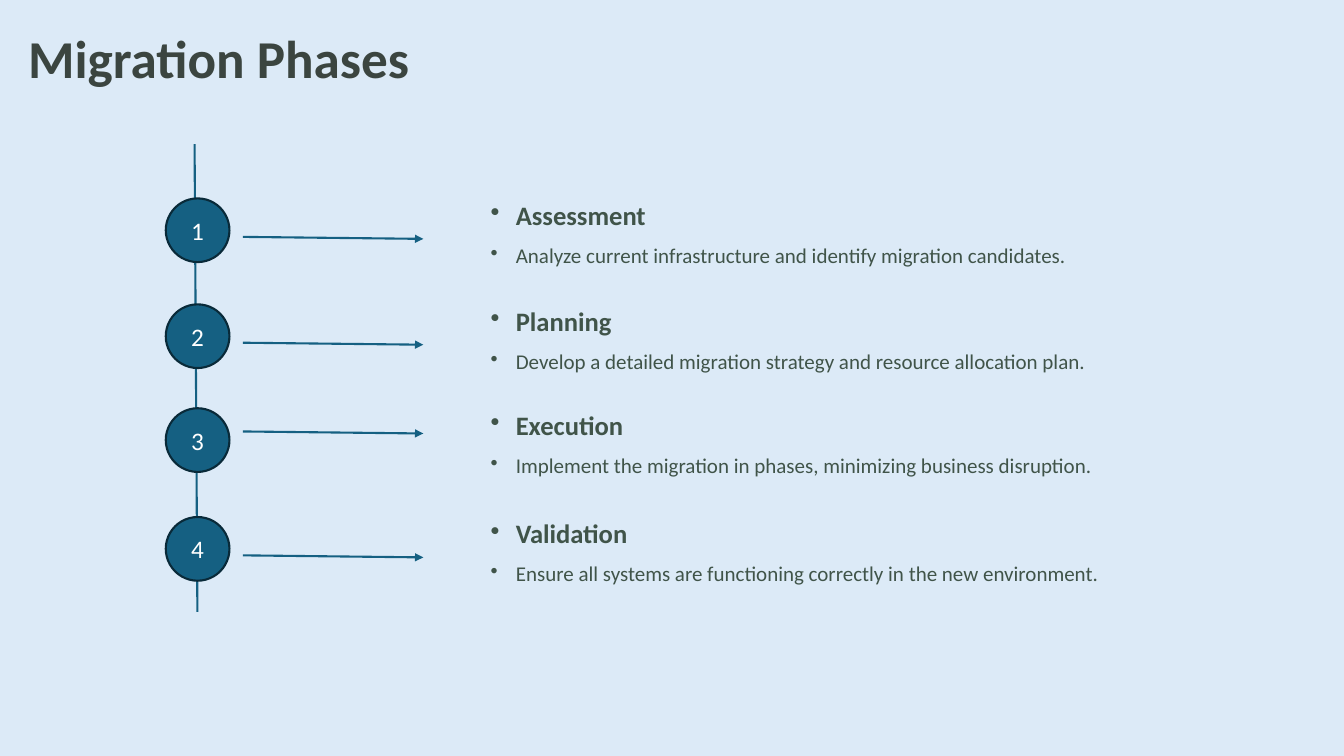
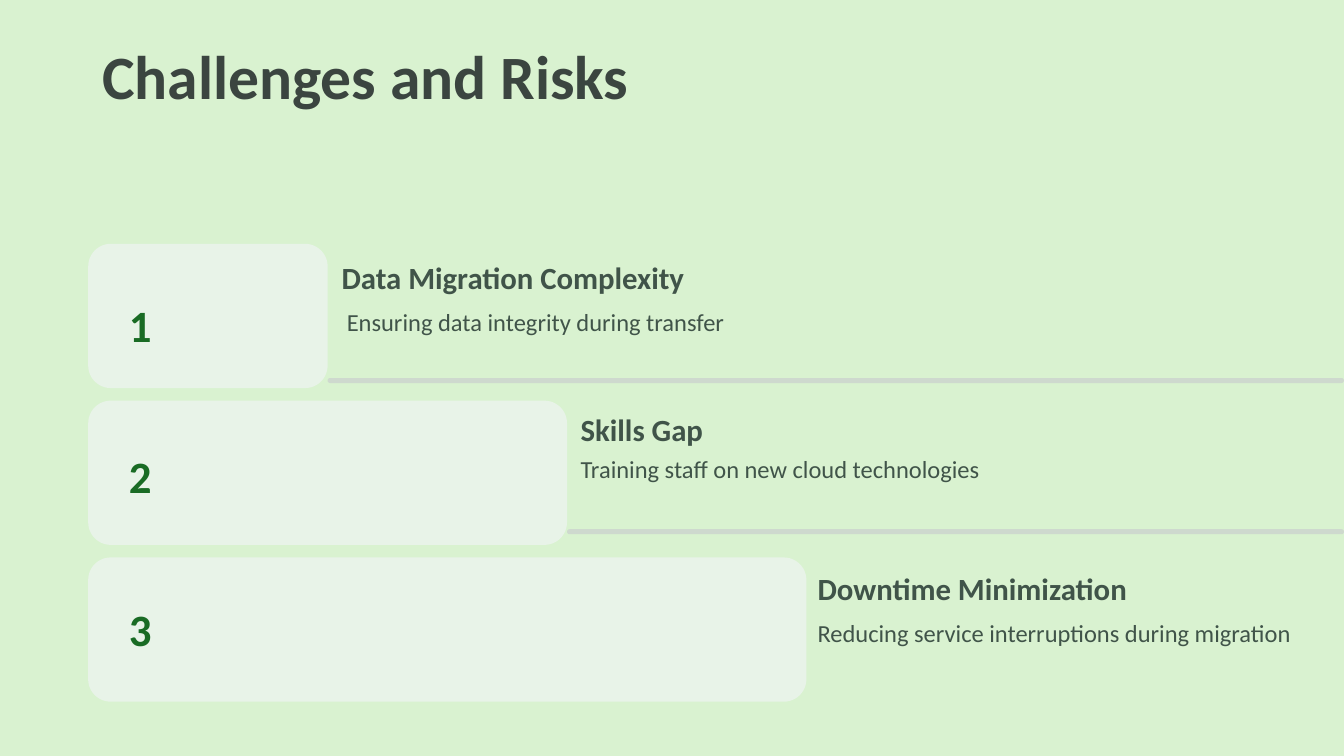
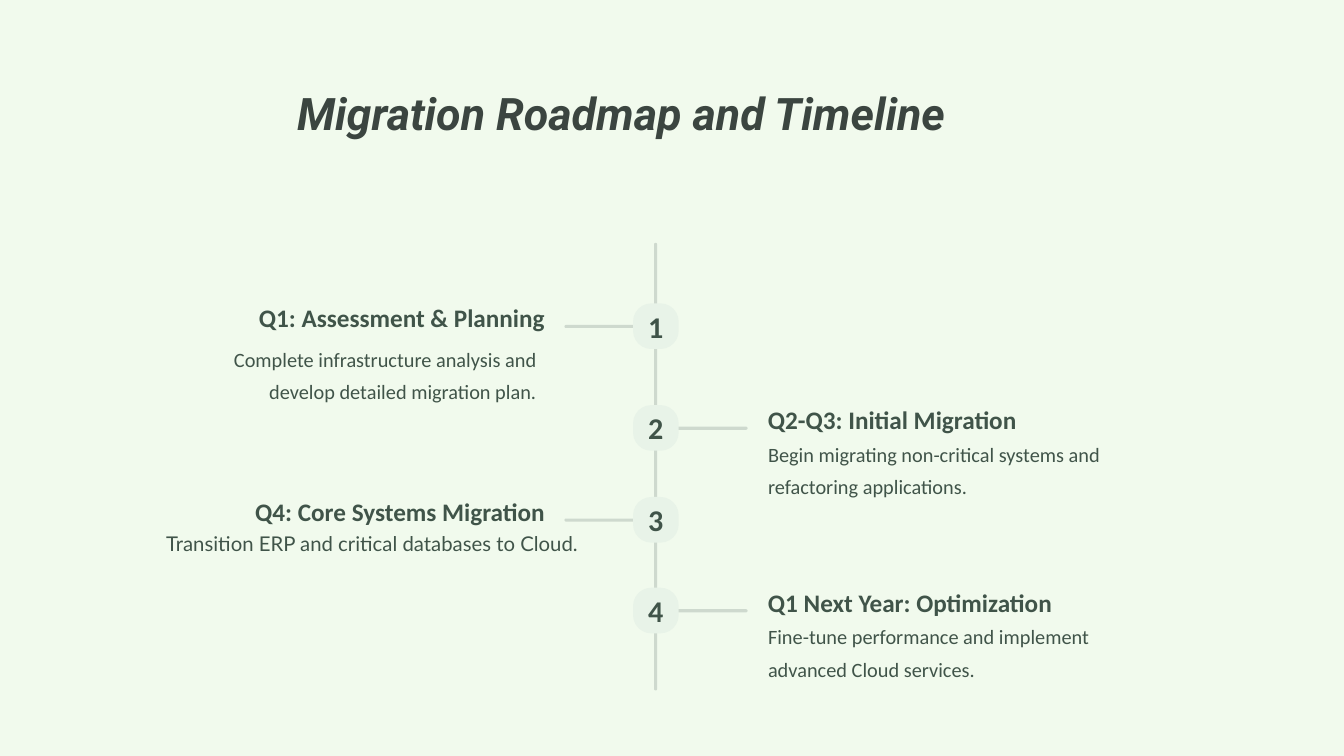
"""Build three cloud migration slides: phases, risks and roadmap."""
from lxml import etree
from pptx import Presentation
from pptx.dml.color import RGBColor
from pptx.enum import shapes, text
from pptx.oxml.ns import qn
from pptx.util import Pt

SKY = RGBColor(0xDC, 0xEA, 0xF7)
MINT = RGBColor(0xD9, 0xF2, 0xD0)
PALE = RGBColor(0xF1, 0xFA, 0xED)
DARK = RGBColor(0x3B, 0x45, 0x40)
INK = RGBColor(0x40, 0x54, 0x49)
BLUE = RGBColor(0x15, 0x60, 0x82)
NAVY = RGBColor(0x09, 0x2A, 0x39)
GREEN = RGBColor(0x19, 0x6B, 0x24)
CARD = RGBColor(0xE8, 0xF3, 0xE8)
RULE = RGBColor(0xCE, 0xD9, 0xCE)
WHITE = RGBColor(0xFF, 0xFF, 0xFF)

WIDE, HIGH = 960, 540
FONT = "Calibri"
INSET = (7.2, 3.6, 7.2, 3.6)
NONE = (0, 0, 0, 0)
LEFT, MID, RIGHT = text.PP_ALIGN.LEFT, text.PP_ALIGN.CENTER, text.PP_ALIGN.RIGHT
OVAL, ROUND = shapes.MSO_SHAPE.OVAL, shapes.MSO_SHAPE.ROUNDED_RECTANGLE

# row top, arrow top, heading, detail
PHASES = [
    (141, 169.2, "Assessment", "Analyze current infrastructure and identify migration candidates."),
    (216.7, 244.8, "Planning", "Develop a detailed migration strategy and resource allocation plan."),
    (290.9, 308.2, "Execution", "Implement the migration in phases, minimizing business disruption."),
    (368.6, 396.7, "Validation", "Ensure all systems are functioning correctly in the new environment."),
]
RISKS = [
    ("Data Migration Complexity", (244, 183.6, 307),
     "Ensuring data integrity during transfer", (247.7, 211.7, 328), 208.8),
    ("Skills Gap", (414.7, 292.3, 223),
     "Training staff on new cloud technologies", (414.7, 316.8, 347), 316.8),
    ("Downtime Minimization", (584, 406, 275),
     "Reducing service interruptions during migration", (584, 434.2, 376), 426.2),
]
STEPS = [
    (216.7, "Q1: Assessment & Planning", 249,
     "Complete infrastructure analysis and develop detailed migration plan.",
     (148.3, 242.6, 234.7, 46.8), FONT),
    (289.4, "Q2-Q3: Initial Migration", 222,
     "Begin migrating non-critical systems and refactoring applications.",
     (548.6, 310.3, 262, 46.8), FONT),
    (355, "Q4: Core Systems Migration", 256,
     "Transition ERP and critical databases to Cloud.",
     (97.2, 373.7, 315.4, 23), "Lato"),
    (419.8, "Q1 Next Year: Optimization", 246,
     "Fine-tune performance and implement advanced Cloud services.",
     (548.6, 440.6, 262, 46.8), FONT),
]


def write(para, words, size, color, bold=False, italic=False, font=FONT):
    run = para.add_run()
    run.text = words
    face = run.font
    face.name, face.size = font, Pt(size)
    face.bold, face.italic = bold, italic
    face.color.rgb = color


def frame(shape, inset=NONE, wrap=True, anchor=text.MSO_ANCHOR.TOP):
    body = shape.text_frame
    body.word_wrap = wrap
    body.vertical_anchor = anchor
    body.margin_left, body.margin_top, body.margin_right, body.margin_bottom = map(Pt, inset)
    return body


def box(slide, place, **style):
    return frame(slide.shapes.add_textbox(*map(Pt, place)), **style)


def line(slide, place, words, size, pitch, align=LEFT, **style):
    para = box(slide, place).paragraphs[0]
    para.alignment, para.line_spacing = align, Pt(pitch)
    write(para, words, size, INK, **style)


def block(slide, kind, place, fill, edge=None, bend=None):
    shape = slide.shapes.add_shape(kind, *map(Pt, place))
    shape.shadow.inherit = False
    shape.fill.solid()
    shape.fill.fore_color.rgb = fill
    if edge is None:
        shape.line.fill.background()
    else:
        shape.line.color.rgb, shape.line.width = edge, Pt(1.5)
    if bend is not None:
        shape.adjustments[0] = bend
    return shape


def label(shape, words, size, color, bold=False):
    para = frame(shape, anchor=text.MSO_ANCHOR.MIDDLE).paragraphs[0]
    para.alignment = MID
    write(para, words, size, color, bold)


def stroke(slide, ends, arrow=False):
    link = slide.shapes.add_connector(shapes.MSO_CONNECTOR.STRAIGHT, *map(Pt, ends))
    link.line.color.rgb, link.line.width = BLUE, Pt(1.5)
    if arrow:
        etree.SubElement(link.line._get_or_add_ln(), qn("a:tailEnd"), type="triangle")
    etree.SubElement(link._element.spPr, qn("a:effectLst"))


def bullet(para):
    props = para._p.get_or_add_pPr()
    props.set("marL", str(Pt(18)))
    props.set("indent", str(Pt(-18)))
    etree.SubElement(props, qn("a:buChar"), char="•")
    para.line_spacing = 0.9


def page(deck, back, words, place, size, foot, **style):
    slide = deck.slides.add_slide(deck.slide_layouts[6])
    slide.background.fill.solid()
    slide.background.fill.fore_color.rgb = back
    para = box(slide, place, inset=(7.2, 3.6, 7.2, foot),
               anchor=text.MSO_ANCHOR.MIDDLE).paragraphs[0]
    para.line_spacing = 0.9
    write(para, words, size, DARK, bold=True, **style)
    return slide


def phases(deck):
    slide = page(deck, SKY, "Migration Phases", (13, 15.8, 828, 104.4), 38, 52)
    stroke(slide, (139, 103, 141, 437))
    for num, (top, mark, head, note) in enumerate(PHASES, 1):
        body = box(slide, (343.4, top, 557.3, 91.4), inset=INSET)
        first, second = body.paragraphs[0], body.add_paragraph()
        for para in (first, second):
            bullet(para)
        second.space_before = Pt(10)
        write(first, head, 19, INK, bold=True)
        write(second, note, 15, INK)
        stroke(slide, (173.5, mark, 302.4, mark + 1.44), arrow=True)
        dot = block(slide, OVAL, (118.4, top + 0.7, 45.5, 45.5), BLUE, NAVY)
        label(dot, str(num), 18, WHITE)


def risks(deck):
    slide = page(deck, MINT, "Challenges and Risks", (66, 28.8, 828, 104.4), 44, 52)
    left, unit = 63, 171
    for row, (head, spot, note, under, mark) in enumerate(RISKS):
        span = unit * (row + 1)
        block(slide, ROUND, (left, 174.2 + 112 * row, span, 103), CARD, bend=0.156)
        if row < len(RISKS) - 1:
            edge = left + span
            block(slide, ROUND, (edge, 270 + 108 * row, WIDE - edge, 3.6), RULE, bend=0.5)
        line(slide, (*spot, 28), head, 22, 27.5, bold=True)
        line(slide, (*under, 28.8), note, 17.5, 28.5)
        body = box(slide, (85, mark, 31.5, 46), inset=INSET, wrap=False)
        write(body.paragraphs[0], str(row + 1), 32, GREEN, bold=True)


def roadmap(deck):
    slide = page(deck, PALE, "Migration Roadmap and Timeline", (205.2, 47.5, 523.4, 104.4),
                 32, 37.6, italic=True, font="Roboto")
    block(slide, ROUND, (467.2, 173.5, 2.2, 319.7), RULE, bend=0.5)
    for row, (top, head, span, note, place, font) in enumerate(STEPS):
        odd = row % 2
        block(slide, ROUND, (483 if odd else 403.2, top + 15.4, 51, 2.2), RULE, bend=0.5)
        node = block(slide, ROUND, (452.2, top, 32.6, 32.6), CARD, bend=0.4)
        label(node, str(row + 1), 21.5, INK, bold=True)
        side = LEFT if odd else RIGHT
        start = 548.6 if odd else 389.2 - span
        line(slide, (start, top - 1.5, span, 23), head, 18, 22.5, side, bold=True)
        line(slide, place, note, 14.5, 23, side, font=font)


def main():
    deck = Presentation()
    deck.slide_width, deck.slide_height = Pt(WIDE), Pt(HIGH)
    for build in (phases, risks, roadmap):
        build(deck)
    deck.save("out.pptx")


if __name__ == "__main__":
    main()
